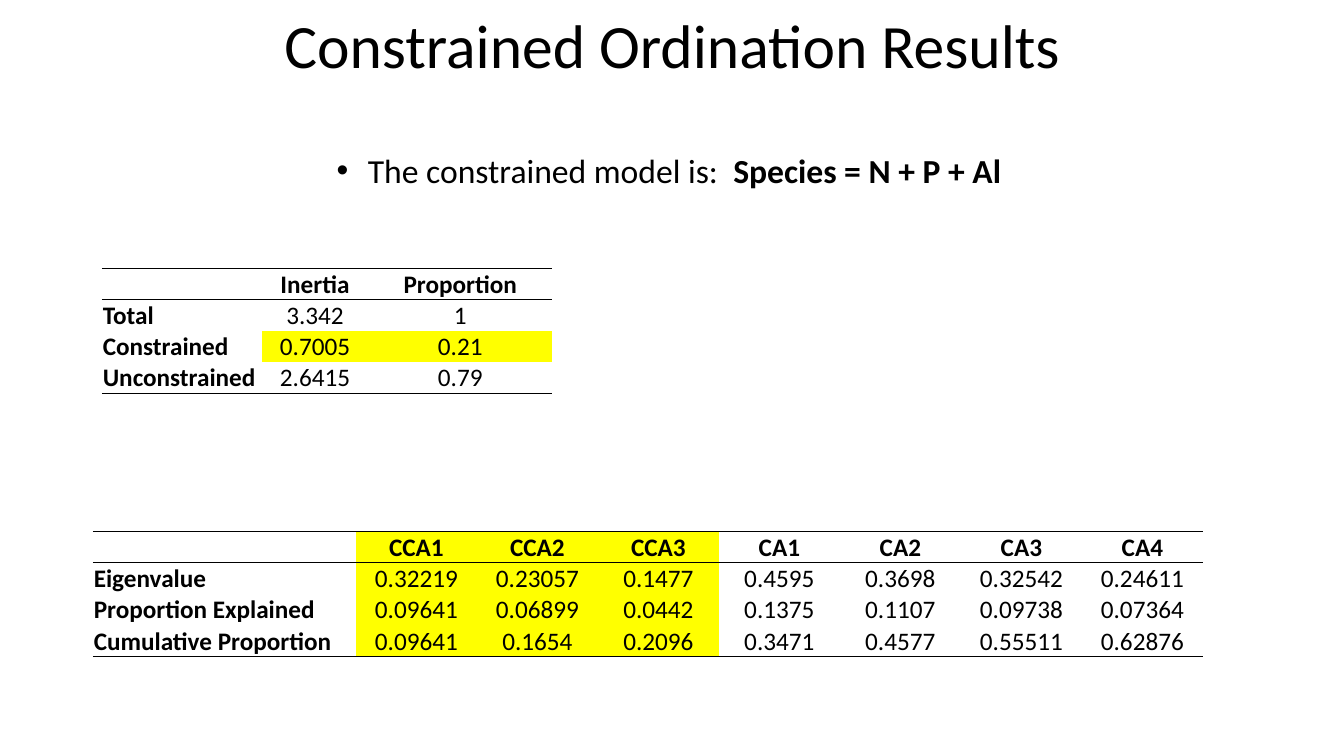
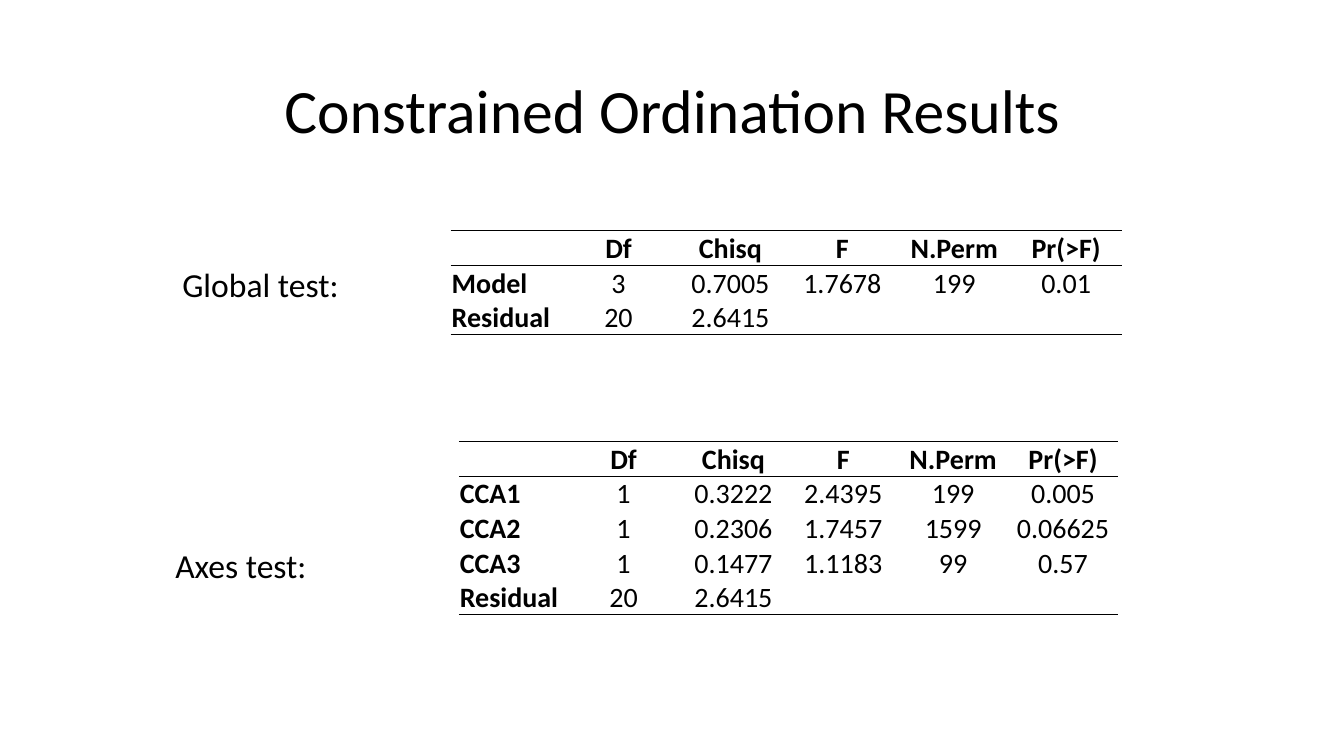
from dataclasses import dataclass
from typing import Optional

from lxml import etree
from pptx import Presentation
from pptx import util as u
from pptx.dml.color import RGBColor
from pptx.enum import text
from pptx.oxml import ns

# Shared style
PX = 9144  # EMU per px, 100 px to the inch
SLIDE_WIDTH, SLIDE_HEIGHT = 1333, 750
FONT = "Calibri"
COLORS = {"ink": "000000", "highlight": "FFFF00"}
TITLE = "Constrained Ordination Results"
TITLE_SIZE, LABEL_SIZE, RULE_WIDTH = 44, 24, 1
BULLET_INDENT = 31
CELL_INSET = 1


@dataclass(frozen=True)
class Label:
    left: int
    top: int
    width: int
    content: str
    bold_content: str = ""
    bullet: bool = False


@dataclass(frozen=True)
class Highlight:
    rows: range
    columns: range


@dataclass(frozen=True)
class ResultTable:
    left: int
    top: int
    widths: list[int]
    row_height: int
    size: int
    rows: list[list[str]]
    highlight: Optional[Highlight] = None


@dataclass(frozen=True)
class ResultSlide:
    title_top: int
    labels: list[Label]
    tables: list[ResultTable]


# Content
TEST_HEADER = ["", "Df", "Chisq", "F", "N.Perm", "Pr(>F)"]

SLIDES = [
    ResultSlide(
        title_top=-24,
        labels=[Label(324, 144, 686, "The constrained model is:  ",
                      "Species = N + P + Al", bullet=True)],
        tables=[
            ResultTable(101, 266, [159, 105, 183], 31, 18, [
                ["", "Inertia", "Proportion"],
                ["Total", "3.342", "1"],
                ["Constrained", "0.7005", "0.21"],
                ["Unconstrained", "2.6415", "0.79"],
            ], Highlight(range(2, 3), range(1, 3))),
            ResultTable(92, 527, [261] + [120] * 7, 31, 18, [
                ["", "CCA1", "CCA2", "CCA3", "CA1", "CA2", "CA3", "CA4"],
                ["Eigenvalue", "0.32219", "0.23057", "0.1477",
                 "0.4595", "0.3698", "0.32542", "0.24611"],
                ["Proportion Explained", "0.09641", "0.06899", "0.0442",
                 "0.1375", "0.1107", "0.09738", "0.07364"],
                ["Cumulative Proportion", "0.09641", "0.1654", "0.2096",
                 "0.3471", "0.4577", "0.55511", "0.62876"],
            ], Highlight(range(4), range(1, 4))),
        ],
    ),
    ResultSlide(
        title_top=40,
        labels=[Label(171, 257, 184, "Global test:"),
                Label(164, 536, 159, "Axes test:")],
        tables=[
            ResultTable(447, 229, [111] * 6, 34, 20, [
                TEST_HEADER,
                ["Model", "3", "0.7005", "1.7678", "199", "0.01"],
                ["Residual", "20", "2.6415", "", "", ""],
            ]),
            ResultTable(455, 438, [109] * 6, 34, 20, [
                TEST_HEADER,
                ["CCA1", "1", "0.3222", "2.4395", "199", "0.005"],
                ["CCA2", "1", "0.2306", "1.7457", "1599", "0.06625"],
                ["CCA3", "1", "0.1477", "1.1183", "99", "0.57"],
                ["Residual", "20", "2.6415", "", "", ""],
            ]),
        ],
    ),
]


def px(length: int) -> u.Emu:
    return u.Emu(length * PX)


def format_run(run, size: int, bold: bool = False) -> None:
    run.font.name = FONT
    run.font.size = u.Pt(size)
    run.font.bold = bold
    run.font.color.rgb = RGBColor.from_string(COLORS["ink"])


# Title and labels
def add_title(slide, top: int) -> None:
    shape = slide.shapes.add_textbox(px(92), px(top), px(1150), px(145))
    frame = shape.text_frame
    frame.word_wrap = True
    frame.vertical_anchor = text.MSO_ANCHOR.MIDDLE
    frame.text = TITLE
    paragraph = frame.paragraphs[0]
    paragraph.alignment = text.PP_ALIGN.CENTER
    paragraph.line_spacing = 0.9
    format_run(paragraph.runs[0], TITLE_SIZE)


def add_bullet(paragraph) -> None:
    properties = paragraph._p.get_or_add_pPr()
    properties.set("marL", str(px(BULLET_INDENT)))
    properties.set("indent", str(-px(BULLET_INDENT)))
    etree.SubElement(properties, ns.qn("a:buFont")).set("typeface", "Arial")
    etree.SubElement(properties, ns.qn("a:buChar")).set("char", "•")


def add_label(slide, label: Label) -> None:
    shape = slide.shapes.add_textbox(
        px(label.left), px(label.top), px(label.width), px(50))
    frame = shape.text_frame
    frame.word_wrap = False
    frame.auto_size = text.MSO_AUTO_SIZE.SHAPE_TO_FIT_TEXT
    frame.text = label.content
    paragraph = frame.paragraphs[0]
    format_run(paragraph.runs[0], LABEL_SIZE)
    if label.bold_content:
        run = paragraph.add_run()
        run.text = label.bold_content
        format_run(run, LABEL_SIZE, bold=True)
    if label.bullet:
        add_bullet(paragraph)


# Tables
def set_borders(cell, top: bool, bottom: bool) -> None:
    properties = cell._tc.get_or_add_tcPr()
    sides = {"lnL": False, "lnR": False, "lnT": top, "lnB": bottom}
    for side, ruled in sides.items():
        line = etree.SubElement(properties, ns.qn(f"a:{side}"))
        if ruled:
            line.set("w", str(u.Pt(RULE_WIDTH)))
            fill = etree.SubElement(line, ns.qn("a:solidFill"))
            etree.SubElement(fill, ns.qn("a:srgbClr")).set("val", COLORS["ink"])
        else:
            etree.SubElement(line, ns.qn("a:noFill"))


def fill_cell(cell, content: str, size: int, bold: bool, centred: bool) -> None:
    cell.margin_left = cell.margin_right = cell.margin_top = px(CELL_INSET)
    cell.margin_bottom = 0
    cell.vertical_anchor = text.MSO_ANCHOR.BOTTOM
    cell.text_frame.text = content
    paragraph = cell.text_frame.paragraphs[0]
    paragraph.alignment = (
        text.PP_ALIGN.CENTER if centred else text.PP_ALIGN.LEFT)
    for run in paragraph.runs:
        format_run(run, size, bold)


def add_result_table(slide, result: ResultTable) -> None:
    row_count = len(result.rows)
    table = slide.shapes.add_table(
        row_count, len(result.widths), px(result.left), px(result.top),
        px(sum(result.widths)), px(result.row_height * row_count)).table
    table.first_row = table.horz_banding = False
    for column, width in zip(table.columns, result.widths):
        column.width = px(width)
    for row_index, values in enumerate(result.rows):
        table.rows[row_index].height = px(result.row_height)
        for column_index, content in enumerate(values):
            cell = table.cell(row_index, column_index)
            fill_cell(cell, content, result.size,
                      bold=row_index == 0 or column_index == 0,
                      centred=column_index > 0)
            set_borders(cell, top=row_index <= 1,
                        bottom=row_index in (0, row_count - 1))
            area = result.highlight
            if area and row_index in area.rows and column_index in area.columns:
                cell.fill.solid()
                cell.fill.fore_color.rgb = RGBColor.from_string(
                    COLORS["highlight"])
            else:
                cell.fill.background()


def main() -> None:
    presentation = Presentation()
    presentation.slide_width = px(SLIDE_WIDTH)
    presentation.slide_height = px(SLIDE_HEIGHT)
    blank_layout = presentation.slide_layouts[6]
    for content in SLIDES:
        slide = presentation.slides.add_slide(blank_layout)
        add_title(slide, content.title_top)
        for label in content.labels:
            add_label(slide, label)
        for result in content.tables:
            add_result_table(slide, result)
    presentation.save("out.pptx")


if __name__ == "__main__":
    main()
